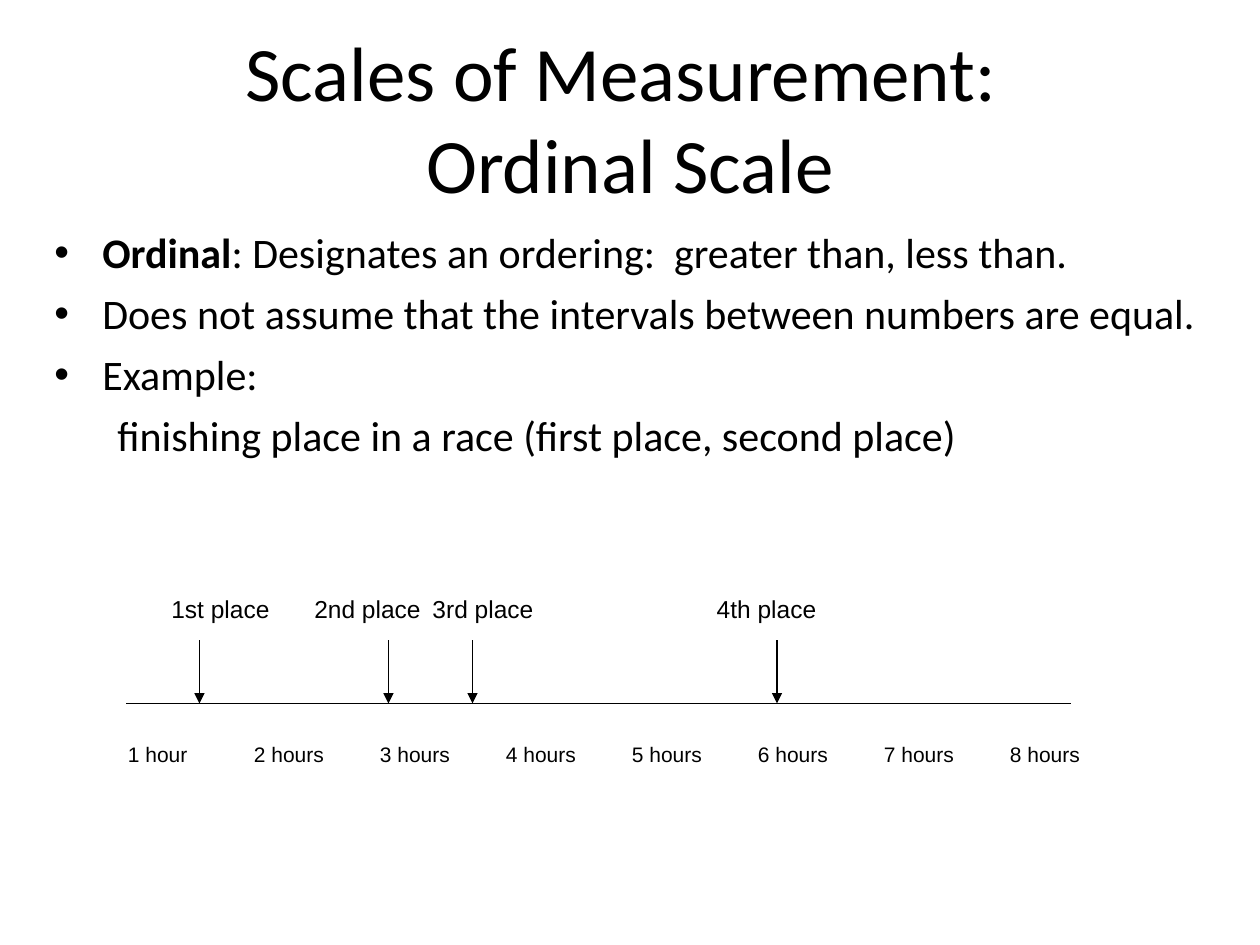
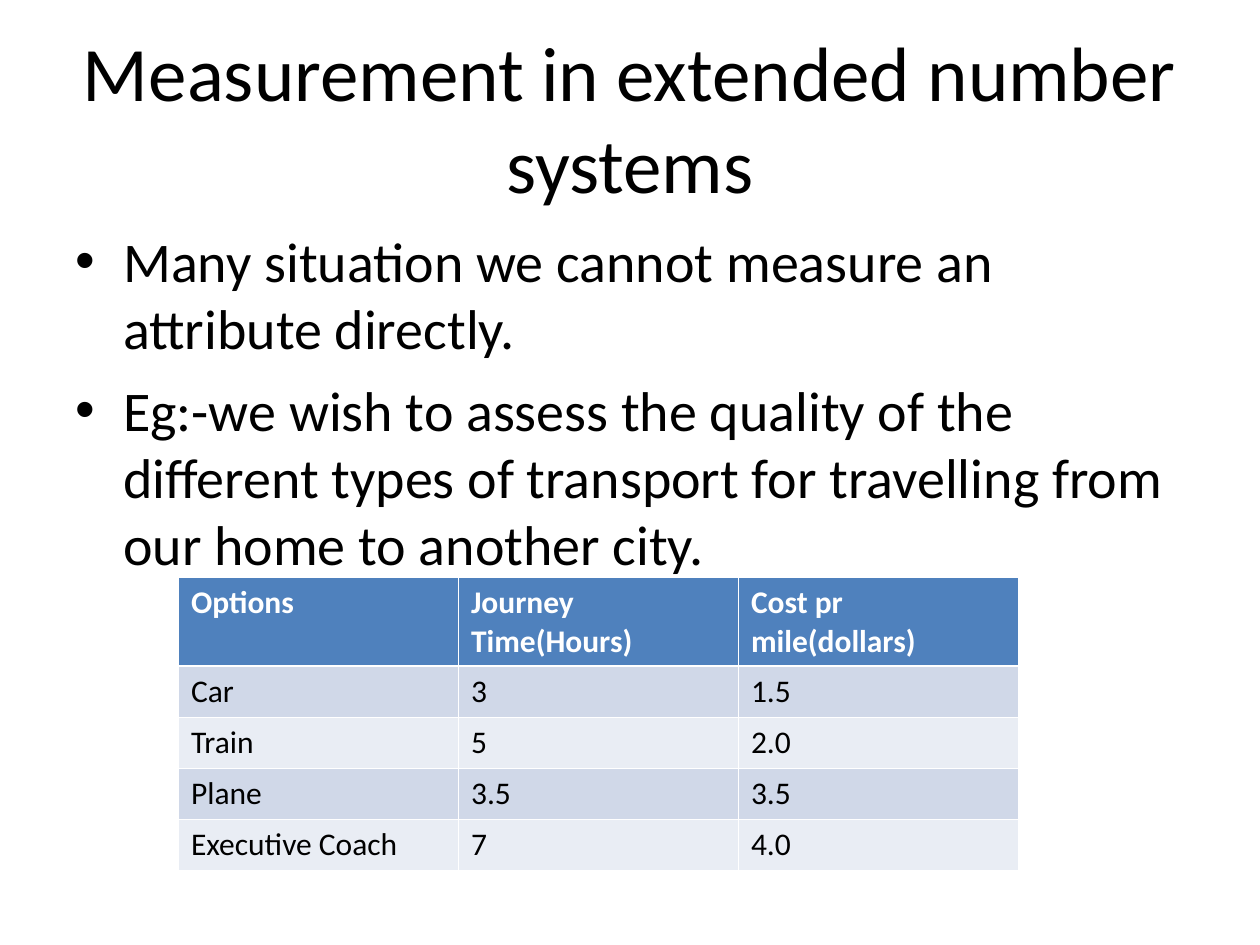
from dataclasses import dataclass
from lxml import etree
from pptx import Presentation
from pptx.dml.color import RGBColor
from pptx.enum.shapes import MSO_CONNECTOR
from pptx.enum.text import MSO_ANCHOR, MSO_AUTO_SIZE, PP_ALIGN
from pptx.oxml.ns import qn
from pptx.util import Inches, Pt

STRAIGHT = MSO_CONNECTOR.STRAIGHT
TOP, MIDDLE = MSO_ANCHOR.TOP, MSO_ANCHOR.MIDDLE
LEFT, CENTER = PP_ALIGN.LEFT, PP_ALIGN.CENTER
NO_FIT = MSO_AUTO_SIZE.NONE
TITLE_ONLY = 5


@dataclass(frozen=True)
class Theme:
    ink: str = "000000"
    paper: str = "FFFFFF"
    header: str = "4F81BD"
    bands: tuple = ("D0D8E8", "E9EDF4")
    font: str = "Calibri"
    label_font: str = "Arial"
    title: int = 44
    body_large: int = 32
    body: int = 24
    cell: int = 18
    place: int = 14
    hour: int = 12
    line: float = 0.75
    border: float = 0.45
    header_border: float = 1.47


@dataclass(frozen=True)
class Box:
    """Left, top, width and height in grid units."""
    x: float
    y: float
    w: float
    h: float

    def inside(self, dx, dy, w, h):
        return Box(self.x + dx, self.y + dy, w, h)

    def lengths(self):
        return [grid(v) for v in (self.x, self.y, self.w, self.h)]


THEME = Theme()
COLUMNS, ROWS = 120, 90
SLIDE_W, SLIDE_H = Inches(10), Inches(7.5)
TITLE_BOX = Box(6, 3.6, 108, 15)
HOUR_STEP = 12


def grid(units):
    """Length of grid units; columns and rows are equally large."""
    return round(SLIDE_W * units / COLUMNS)


def rgb(value):
    return RGBColor.from_string(value)


def add_xml(parent, tag, **attrs):
    return etree.SubElement(parent, qn(tag), attrs)


def set_indent(p, left, first, bullet):
    pPr = p._p.get_or_add_pPr()
    pPr.set("marL", str(Inches(left)))
    pPr.set("indent", str(Inches(first)))
    if bullet:
        add_xml(pPr, "a:buFont", typeface=THEME.label_font)
        add_xml(pPr, "a:buChar", char="•")
    else:
        add_xml(pPr, "a:buNone")


def set_tabs(p, step, count):
    tabs = add_xml(p._p.get_or_add_pPr(), "a:tabLst")
    for i in range(1, count + 1):
        add_xml(tabs, "a:tab", pos=str(grid(step * i)), algn="l")


def write(p, text, *, size, font=THEME.font, color=THEME.ink, bold=False, align=LEFT):
    """Fill a paragraph; a newline in the text becomes a line break."""
    p.alignment = align
    for i, line in enumerate(text.split("\n")):
        if i:
            p.add_line_break()
        r = p.add_run()
        r.text = line
        r.font.size, r.font.name, r.font.bold = Pt(size), font, bold
        r.font.color.rgb = rgb(color)


def add_text_box(slide, box):
    tf = slide.shapes.add_textbox(*box.lengths()).text_frame
    tf.word_wrap = True
    tf.vertical_anchor = TOP
    return tf


def add_titled_slide(prs, title):
    slide = prs.slides.add_slide(prs.slide_layouts[TITLE_ONLY])
    sp = slide.shapes.title
    sp.left, sp.top, sp.width, sp.height = TITLE_BOX.lengths()
    tf = sp.text_frame
    tf.word_wrap, tf.auto_size, tf.vertical_anchor = True, NO_FIT, MIDDLE
    write(tf.paragraphs[0], title, size=THEME.title, align=CENTER)
    return slide


def add_points(slide, box, points, size, gap):
    """Each point is (level, lead in bold, text)."""
    tf = add_text_box(slide, box)
    for i, (level, lead, text) in enumerate(points):
        p = tf.add_paragraph() if i else tf.paragraphs[0]
        p.level = level
        if level:
            set_indent(p, 0.81, -0.31, bullet=False)
        else:
            set_indent(p, 0.38, -0.38, bullet=True)
        if i:
            p.space_before = Pt(gap)
        if lead:
            write(p, lead, size=size, bold=True)
        write(p, text, size=size)


def add_line(slide, x1, y1, x2, y2, arrow=False):
    cx = slide.shapes.add_connector(STRAIGHT, *map(grid, (x1, y1, x2, y2)))
    cx.line.color.rgb = rgb(THEME.ink)
    cx.line.width = Pt(THEME.line)
    if arrow:
        add_xml(cx.line._get_or_add_ln(), "a:tailEnd", type="triangle")
    add_xml(cx._element.spPr, "a:effectLst")


def add_timeline(slide, box, hours, places):
    """Each place is (label, column of its label, column of its arrow)."""
    label_w, label_h, arrow_row, axis_row, hour_row = 14, 4, 5, 11, 14
    axis_y = box.y + axis_row
    hour_box = box.inside(0, hour_row, box.w, box.h - hour_row)
    p = add_text_box(slide, hour_box).paragraphs[0]
    set_tabs(p, HOUR_STEP, len(hours) - 1)
    write(p, "\t".join(hours), size=THEME.hour, font=THEME.label_font)

    add_line(slide, box.x + 1, axis_y, box.x + 91, axis_y)
    for label, label_x, arrow_x in places:
        x = box.x + arrow_x
        add_line(slide, x, box.y + arrow_row, x, axis_y, arrow=True)
        tf = add_text_box(slide, box.inside(label_x, 0, label_w, label_h))
        write(tf.paragraphs[0], label, size=THEME.place,
              font=THEME.label_font, align=CENTER)


def set_borders(cell, widths):
    """Widths in points for the left, right, top and bottom sides."""
    tcPr = cell._tc.get_or_add_tcPr()
    for i, (side, width) in enumerate(zip(("L", "R", "T", "B"), widths)):
        ln = etree.Element(qn(f"a:ln{side}"), w=str(Pt(width)))
        add_xml(add_xml(ln, "a:solidFill"), "a:srgbClr", val=THEME.paper)
        tcPr.insert(i, ln)


def add_data_table(slide, box, rows, header_h):
    frame = slide.shapes.add_table(len(rows), len(rows[0]), *box.lengths())
    table = frame.table
    for col in table.columns:
        col.width = grid(box.w / len(rows[0]))
    row_h = (box.h - header_h) / (len(rows) - 1)
    for i, values in enumerate(rows):
        head = i == 0
        table.rows[i].height = grid(header_h if head else row_h)
        top = THEME.header_border if i == 1 else THEME.border
        bottom = THEME.header_border if head else THEME.border
        for cell, value in zip(table.rows[i].cells, values):
            cell.fill.solid()
            cell.fill.fore_color.rgb = rgb(THEME.header if head else THEME.bands[(i - 1) % 2])
            set_borders(cell, (THEME.border, THEME.border, top, bottom))
            write(cell.text_frame.paragraphs[0], value, size=THEME.cell, bold=head,
                  color=THEME.paper if head else THEME.ink)


def build_ordinal_scale(prs):
    slide = add_titled_slide(prs, "Scales of Measurement: \nOrdinal Scale")
    add_points(slide, Box(4, 21, 112, 64), [
        (0, "Ordinal", ": Designates an ordering:  greater than, less than."),
        (0, "", "Does not assume that the intervals between numbers are equal."),
        (0, "", "Example:"),
        (1, "", "finishing place in a race (first place, second place)"),
    ], THEME.body, gap=6)
    hours = ["1 hour"] + [f"{n} hours" for n in range(2, 9)]
    add_timeline(slide, Box(11, 56, 98, 17.6), hours, [
        ("1st place", 3, 8),
        ("2nd place", 17, 26),
        ("3rd place", 28, 34),
        ("4th place", 55, 63),
    ])


def build_extended_systems(prs):
    slide = add_titled_slide(prs, "Measurement in extended number systems")
    add_points(slide, Box(6, 21, 108, 59.4), [
        (0, "", "Many situation we cannot measure an attribute directly."),
        (0, "", "Eg:-we wish to assess the quality of the different types of "
                "transport for travelling from our home to another city."),
    ], THEME.body_large, gap=8)
    add_data_table(slide, Box(17, 55, 80, 27.9), [
        ("Options", "Journey Time(Hours)", "Cost pr mile(dollars)"),
        ("Car", "3", "1.5"),
        ("Train", "5", "2.0"),
        ("Plane", "3.5", "3.5"),
        ("Executive Coach", "7", "4.0"),
    ], header_h=8.45)


def main():
    prs = Presentation()
    prs.slide_width, prs.slide_height = SLIDE_W, SLIDE_H
    build_ordinal_scale(prs)
    build_extended_systems(prs)
    prs.save("out.pptx")


if __name__ == "__main__":
    main()
